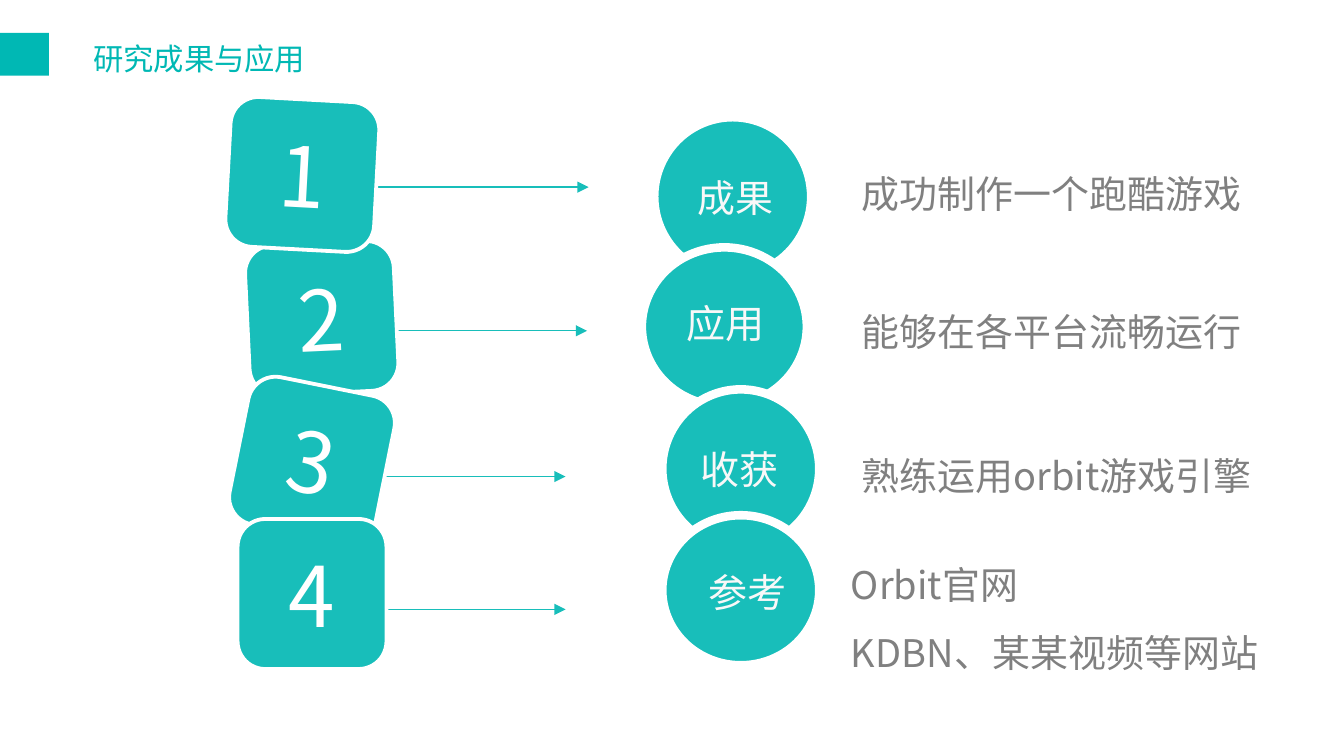
from lxml import etree
from pptx import Presentation
from pptx.dml.color import RGBColor
from pptx.enum.shapes import MSO_CONNECTOR, MSO_SHAPE
from pptx.enum.text import MSO_ANCHOR, PP_ALIGN
from pptx.oxml.ns import qn
from pptx.util import Cm, Pt

STRAIGHT = MSO_CONNECTOR.STRAIGHT
RECTANGLE, ROUNDED, OVAL = MSO_SHAPE.RECTANGLE, MSO_SHAPE.ROUNDED_RECTANGLE, MSO_SHAPE.OVAL
MIDDLE, CENTER, LEFT = MSO_ANCHOR.MIDDLE, PP_ALIGN.CENTER, PP_ALIGN.LEFT
FONT = "Noto Sans CJK SC"
TEAL, TITLE_TEAL, WHITE, PALE, GREY = "18BEBA", "00B8B4", "FFFFFF", "F8F8F8", "808080"
INSET_X, INSET_Y = 0.18, 0.1

TILES = [
    ("2", 0.36, 2.67, -2.7),
    ("1", 0, 0, 3.1),
    ("3", 0.18, 5.31, 11.4),
    ("4", 0.18, 7.8, 0),
]
ARROWS = [(0, 4.09, 0), (0.33, 3.73, 2.67), (-0.38, 4.04, 5.38), (0.33, 3.33, 7.85)]
CIRCLES = [
    ("成果", 20, 0.23, 0, 2.92, 2.95, 0.56, 0.94),
    ("应用", 20.6, 0, 2.42, 3.07, 2.95, 0.58, 0.84),
    ("收获", 20.6, 0.38, 5.06, 2.92, 2.95, 0.46, 0.91),
    ("参考", 20.6, 0.38, 7.4, 2.92, 2.79, 0.61, 0.86),
]
DESCRIPTIONS = [
    (["成功制作一个跑酷游戏"], 0.2, 0),
    (["能够在各平台流畅运行"], 0.2, 2.57),
    (["熟练运用orbit游戏引擎"], 0.2, 5.26),
    (["Orbit官网", "KDBN、某某视频等网站"], 0, 7.27),
]


def color(value):
    return RGBColor.from_string(value)


def write(shape, lines, size, tint, align=LEFT, spacing=1.0):
    frame = shape.text_frame
    frame.text = "\n".join(lines)
    for para in frame.paragraphs:
        para.alignment = align
        para.line_spacing = spacing
        para.font.size = Pt(size)
        para.font.name = FONT
        para.font.color.rgb = color(tint)
        for span in para.runs:
            east_asian = etree.SubElement(span._r.get_or_add_rPr(), qn("a:ea"))
            east_asian.set("typeface", FONT)


def add_text(shapes, box, lines, size, tint, inset=None, **style):
    text_box = shapes.add_textbox(*map(Cm, box))
    frame = text_box.text_frame
    frame.word_wrap = True
    if inset:
        frame.margin_left = frame.margin_right = Cm(inset[0])
        frame.margin_top = frame.margin_bottom = Cm(inset[1])
    write(text_box, lines, size, tint, **style)


def add_filled(shapes, kind, box, fill, line_width=0):
    shape = shapes.add_shape(kind, *map(Cm, box))
    shape.shadow.inherit = False
    shape.fill.solid()
    shape.fill.fore_color.rgb = color(fill)
    if line_width:
        shape.line.color.rgb = color(WHITE)
        shape.line.width = Pt(line_width)
    else:
        shape.line.fill.background()
    return shape


def add_header(page, left, top):
    add_filled(page.shapes, RECTANGLE, (left, top, 0.91, 0.8), TITLE_TEAL)
    add_text(page.shapes, (left + 0.51, top, 6.4, 1.19), ["研究成果与应用"], 16,
             TITLE_TEAL, (0, 0), align=CENTER, spacing=1.2)


def add_arrows(page, left, top):
    for x, length, y in ARROWS:
        start, level = left + x, Cm(top + y)
        arrow = page.shapes.add_connector(STRAIGHT, Cm(start), level, Cm(start + length), level)
        arrow.line.color.rgb = color(TEAL)
        arrow.line.width = Pt(0.75)
        etree.SubElement(arrow.line._get_or_add_ln(), qn("a:tailEnd")).set("type", "triangle")
        etree.SubElement(arrow._element.spPr, qn("a:effectLst"))


def add_tiles(page, left, top):
    for number, x, y, angle in TILES:
        tile = add_filled(page.shapes, ROUNDED, (left + x, top + y, 2.77, 2.79), TEAL, 2)
        tile.adjustments[0] = 0.186
        tile.rotation = angle
        tile.text_frame.vertical_anchor = MIDDLE
        write(tile, [number], 44.1, WHITE, CENTER)


def add_circles(page, left, top):
    for label, size, x, y, width, height, label_x, label_y in CIRCLES:
        group = page.shapes.add_group_shape()
        add_filled(group.shapes, OVAL, (left + x, top + y, width, height), TEAL, 4.5)
        add_text(group.shapes, (left + x + label_x, top + y + label_y, 2.16, 1.14),
                 [label], size, PALE)


def add_descriptions(page, left, top):
    for lines, x, y in DESCRIPTIONS:
        add_text(page.shapes, (left + x, top + y, 9.04 - x, 1.3 * len(lines)), lines, 20,
                 GREY, (INSET_X, INSET_Y), spacing=1.5)


def main():
    deck = Presentation()
    deck.slide_width, deck.slide_height = Cm(25), Cm(14)
    page = deck.slides.add_slide(deck.slide_layouts[6])
    add_descriptions(page, 15.65, 2.64)
    add_circles(page, 11.94, 2.18)
    add_arrows(page, 6.86, 3.48)
    add_tiles(page, 4.24, 1.85)
    add_header(page, 0, 0.61)
    deck.save("out.pptx")


if __name__ == "__main__":
    main()
